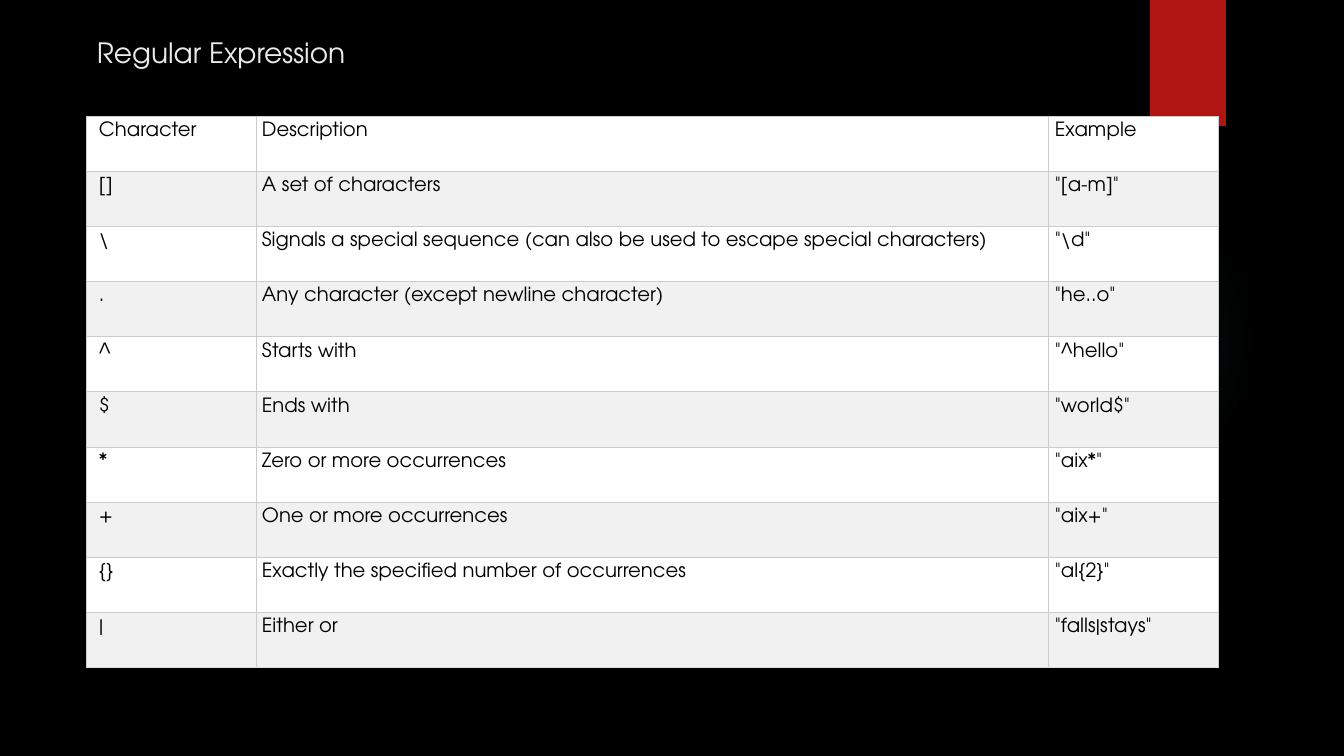
from lxml import etree
from pptx import Presentation
from pptx.dml.color import RGBColor
from pptx.enum.shapes import MSO_SHAPE as Shape
from pptx.enum.text import MSO_ANCHOR as Anchor
from pptx.oxml import parse_xml
from pptx.oxml.ns import nsdecls, qn
from pptx.util import Emu, Pt

BLACK = RGBColor(0x00, 0x00, 0x00)
WHITE = RGBColor(0xFF, 0xFF, 0xFF)
STRIPE = RGBColor(0xF1, 0xF1, 0xF1)
RED = RGBColor(0xB0, 0x15, 0x13)
TITLE = RGBColor(0xEB, 0xEB, 0xEB)
TEAL = RGBColor(0x50, 0xB9, 0xC1)
GRID = RGBColor(0xCC, 0xCC, 0xCC)
GRID_END = RGBColor(0xDD, 0xDD, 0xDD)
FONT = "TeX Gyre Adventor"

ROWS = [
    ("Character", "Description", "Example"),
    ("[]", "A set of characters", '"[a-m]"'),
    ("\\", "Signals a special sequence (can also be used to escape special characters)", '"\\d"'),
    (".", "Any character (except newline character)", '"he..o"'),
    ("^", "Starts with", '"^hello"'),
    ("$", "Ends with", '"world$"'),
    ("*", "Zero or more occurrences", '"aix*"'),
    ("+", "One or more occurrences", '"aix+"'),
    ("{}", "Exactly the specified number of occurrences", '"al{2}"'),
    ("|", "Either or", '"falls|stays"'),
]
COLUMN_WIDTHS = (170, 793, 170)
TABLE_HEIGHT = 552


def px(count):
    return Emu(round(count * 914400 / 100.8))


def add_text(frame, text, size, color):
    span = frame.paragraphs[0].add_run()
    span.text = text
    span.font.name = FONT
    span.font.size = Pt(size)
    span.font.color.rgb = color


deck = Presentation()
deck.slide_width = px(1344)
deck.slide_height = px(756)
page = deck.slides.add_slide(deck.slide_layouts[6])
page.background.fill.solid()
page.background.fill.fore_color.rgb = BLACK

glow = page.shapes.add_shape(Shape.OVAL, px(949), px(184), px(310), px(310))
glow.shadow.inherit = False
glow.line.fill.background()
stops = "".join(
    f'<a:gs pos="{place * 1000}"><a:srgbClr val="{TEAL}"><a:alpha val="{alpha * 1000}"/></a:srgbClr></a:gs>'
    for place, alpha in ((0, 7), (36, 6), (69, 0))
)
glow.element.spPr.find(qn("a:prstGeom")).addnext(parse_xml(
    f'<a:gradFill {nsdecls("a")}><a:gsLst>{stops}</a:gsLst><a:path path="circle">'
    '<a:fillToRect l="50000" t="50000" r="50000" b="50000"/></a:path></a:gradFill>'
))

ribbon = page.shapes.add_shape(Shape.RECTANGLE, px(1150), 0, px(76), px(126))
ribbon.shadow.inherit = False
ribbon.fill.solid()
ribbon.fill.fore_color.rgb = RED
ribbon.line.fill.background()
ribbon.element.spPr.find(qn("a:effectLst")).append(parse_xml(
    f'<a:outerShdw {nsdecls("a")} blurRad="{Pt(3)}" dist="{Pt(2)}" dir="5400000" rotWithShape="0">'
    f'<a:srgbClr val="{BLACK}"><a:alpha val="45000"/></a:srgbClr></a:outerShdw>'
))

title = page.shapes.add_textbox(px(87), px(30), px(1037), px(45)).text_frame
title.word_wrap = True
title.vertical_anchor = Anchor.MIDDLE
add_text(title, "Regular Expression", 20, TITLE)

table = page.shapes.add_table(
    len(ROWS), len(COLUMN_WIDTHS), px(86), px(116), px(sum(COLUMN_WIDTHS)), px(TABLE_HEIGHT)
).table
for column, width in zip(table.columns, COLUMN_WIDTHS):
    column.width = px(width)

for row_index, texts in enumerate(ROWS):
    table.rows[row_index].height = px(TABLE_HEIGHT / len(ROWS))
    for column_index, text in enumerate(texts):
        cell = table.cell(row_index, column_index)
        cell.margin_left = px(13 if column_index == 0 else 6)
        cell.margin_right = cell.margin_top = cell.margin_bottom = px(6)
        cell.vertical_anchor = Anchor.TOP
        add_text(cell.text_frame, text, 14, BLACK)
        properties = cell._tc.get_or_add_tcPr()
        for side in ("lnL", "lnR", "lnT", "lnB"):
            last_edge = side == "lnB" and row_index == len(ROWS) - 1
            border = etree.SubElement(properties, qn(f"a:{side}"), w=str(Pt(0.75)))
            paint = etree.SubElement(border, qn("a:solidFill"))
            etree.SubElement(paint, qn("a:srgbClr"), val=str(GRID_END if last_edge else GRID))
        cell.fill.solid()
        cell.fill.fore_color.rgb = STRIPE if row_index % 2 else WHITE

deck.save("out.pptx")
